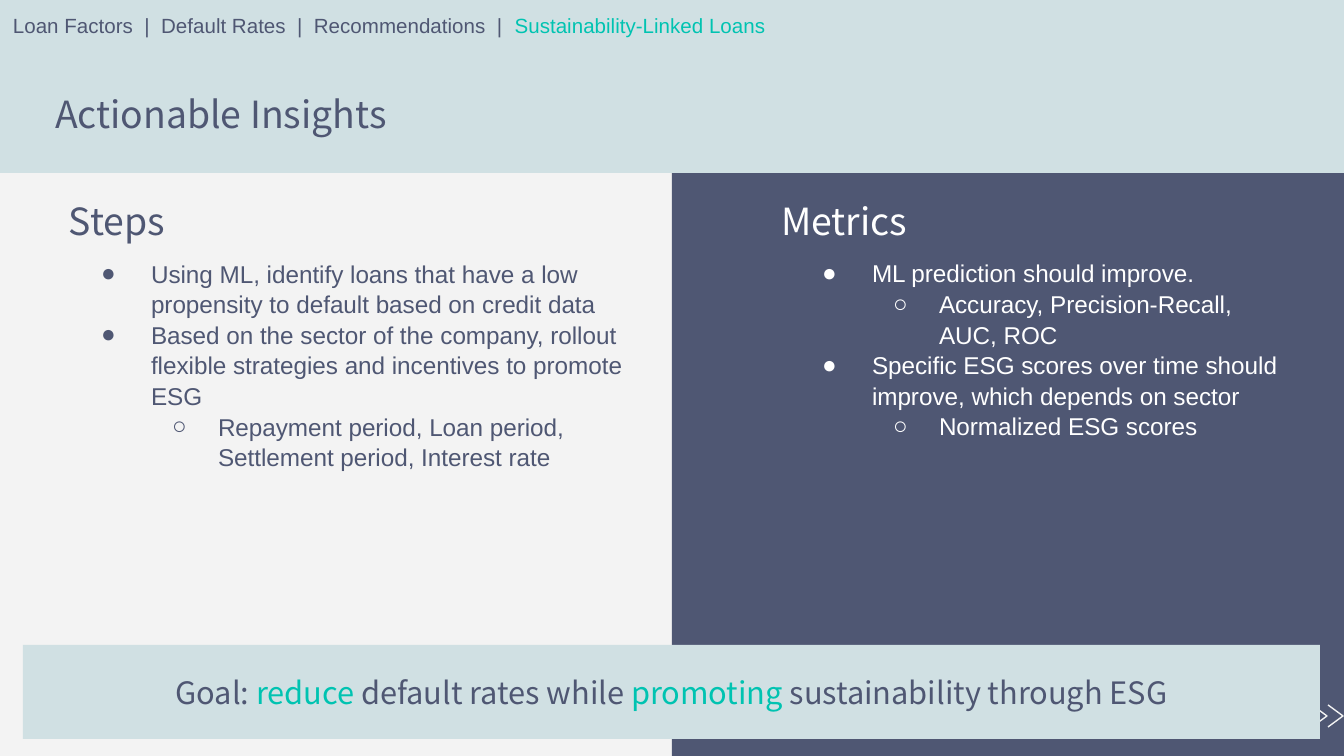
import pptx
import pptx.dml.color
import pptx.enum.shapes
import pptx.enum.text
import pptx.util
from lxml import etree
from pptx.oxml.ns import qn

RGBColor = pptx.dml.color.RGBColor
NAVY = RGBColor(0x4F, 0x57, 0x73)
TEAL = RGBColor(0x00, 0xC3, 0xB1)
MIST = RGBColor(0xD0, 0xE0, 0xE3)
PALE = RGBColor(0xF3, 0xF3, 0xF3)
WHITE = RGBColor(0xFF, 0xFF, 0xFF)

HEADING_FONT = "Noto Sans CJK KR"
BODY_FONT = "Arial"
EMU_PER_PX = 914400 / 134.4
WIDTH, HEIGHT = 1344, 756
INSET = 13

# Bullet character, text indent and hanging indent for each level
BULLETS = [("●", 67, -50), ("○", 134, -46)]

STEPS = [
    (0, "Using ML, identify loans that have a low propensity to default "
        "based on credit data"),
    (0, "Based on the sector of the company, rollout flexible strategies "
        "and incentives to promote ESG"),
    (1, "Repayment period, Loan period, Settlement period, Interest rate"),
]
METRICS = [
    (0, "ML prediction should improve."),
    (1, "Accuracy, Precision-Recall, AUC, ROC"),
    (0, "Specific ESG scores over time should improve, which depends on sector"),
    (1, "Normalized ESG scores"),
]
GOAL = [
    ("Goal: ", NAVY),
    ("reduce", TEAL),
    (" default rates while ", NAVY),
    ("promoting", TEAL),
    (" sustainability through ESG", NAVY),
]
BREADCRUMB = [
    ("Loan Factors  |  Default Rates  |  Recommendations  |  ", NAVY),
    ("Sustainability-Linked Loans", TEAL),
]


def px(length):
    return pptx.util.Emu(round(length * EMU_PER_PX))


def add_panel(slide, left, top, width, height, color):
    panel = slide.shapes.add_shape(
        pptx.enum.shapes.MSO_SHAPE.RECTANGLE,
        px(left), px(top), px(width), px(height))
    panel.shadow.inherit = False
    panel.fill.solid()
    panel.fill.fore_color.rgb = color
    panel.line.fill.background()
    return panel


def add_chevron(slide, left, top):
    builder = slide.shapes.build_freeform(left, top, scale=EMU_PER_PX)
    builder.add_line_segments(
        [(left + 15, top + 11), (left, top + 22)], close=False)
    chevron = builder.convert_to_shape()
    chevron.shadow.inherit = False
    chevron.fill.background()
    chevron.line.color.rgb = PALE
    chevron.line.width = pptx.util.Pt(0.75)


def place(placeholder, left, top, width, height):
    """Position a placeholder and bring it in front of the panels."""
    placeholder.left, placeholder.top = px(left), px(top)
    placeholder.width, placeholder.height = px(width), px(height)
    placeholder.element.getparent().append(placeholder.element)


def set_frame(frame, anchor=pptx.enum.text.MSO_ANCHOR.MIDDLE):
    frame.word_wrap = True
    frame.auto_size = pptx.enum.text.MSO_AUTO_SIZE.NONE
    frame.vertical_anchor = anchor
    frame.margin_left = frame.margin_right = px(INSET)
    frame.margin_top = frame.margin_bottom = px(INSET)


def add_runs(paragraph, runs, font_name, size):
    for text, color in runs:
        run = paragraph.add_run()
        run.text = text
        run.font.name = font_name
        run.font.size = pptx.util.Pt(size)
        run.font.bold = False
        run.font.color.rgb = color


def write_line(frame, runs, font_name, size,
               align=pptx.enum.text.PP_ALIGN.LEFT):
    paragraph = frame.paragraphs[0]
    paragraph.alignment = align
    paragraph.space_before = pptx.util.Pt(0)
    add_runs(paragraph, runs, font_name, size)


def set_bullet(paragraph, level, color):
    character, indent, hanging = BULLETS[level]
    properties = paragraph._p.get_or_add_pPr()
    properties.set("marL", str(px(indent)))
    properties.set("indent", str(px(hanging)))
    bullet_color = etree.SubElement(properties, qn("a:buClr"))
    etree.SubElement(bullet_color, qn("a:srgbClr"), val=str(color))
    etree.SubElement(properties, qn("a:buFont"), typeface=BODY_FONT)
    etree.SubElement(properties, qn("a:buChar"), char=character)


def write_heading(placeholder, text, color, box):
    place(placeholder, *box)
    set_frame(placeholder.text_frame)
    write_line(placeholder.text_frame, [(text, color)], HEADING_FONT, 20)


def write_list(placeholder, items, color, box):
    place(placeholder, *box)
    frame = placeholder.text_frame
    set_frame(frame)
    for number, (level, text) in enumerate(items):
        paragraph = frame.add_paragraph() if number else frame.paragraphs[0]
        paragraph.level = level
        set_bullet(paragraph, level, color)
        paragraph.space_before = pptx.util.Pt(0)
        paragraph.line_spacing = 1.05
        add_runs(paragraph, [(text, color)], BODY_FONT, 13)


def add_breadcrumb(slide):
    breadcrumb = slide.shapes.add_textbox(0, 0, px(WIDTH), px(39))
    set_frame(breadcrumb.text_frame, pptx.enum.text.MSO_ANCHOR.TOP)
    write_line(breadcrumb.text_frame, BREADCRUMB, BODY_FONT, 11)


def add_goal(slide):
    goal = add_panel(slide, 23, 645, 1297, 94, MIST)
    set_frame(goal.text_frame)
    write_line(goal.text_frame, GOAL, HEADING_FONT, 16.5,
               pptx.enum.text.PP_ALIGN.CENTER)


def main():
    deck = pptx.Presentation()
    deck.slide_width, deck.slide_height = px(WIDTH), px(HEIGHT)
    comparison_layout = deck.slide_layouts[4]
    slide = deck.slides.add_slide(comparison_layout)
    title, steps_heading, steps, metrics_heading, metrics = slide.placeholders

    half = WIDTH // 2
    add_panel(slide, 0, 0, half, HEIGHT, PALE)
    add_panel(slide, half, 0, half, HEIGHT, NAVY)
    for left in (1312, 1328):
        add_chevron(slide, left, 705)
    add_panel(slide, 0, 0, WIDTH, 173, MIST)

    write_heading(title, "Actionable Insights", NAVY, (42, 79, 715, 70))
    write_heading(steps_heading, "Steps", NAVY, (56, 199, 353, 44))
    write_list(steps, STEPS, NAVY, (71, 243, 567, 243))
    write_heading(metrics_heading, "Metrics", WHITE, (768, 199, 427, 44))
    write_list(metrics, METRICS, WHITE, (792, 71, 508, 556))
    add_goal(slide)
    add_breadcrumb(slide)

    deck.save("out.pptx")


if __name__ == "__main__":
    main()
